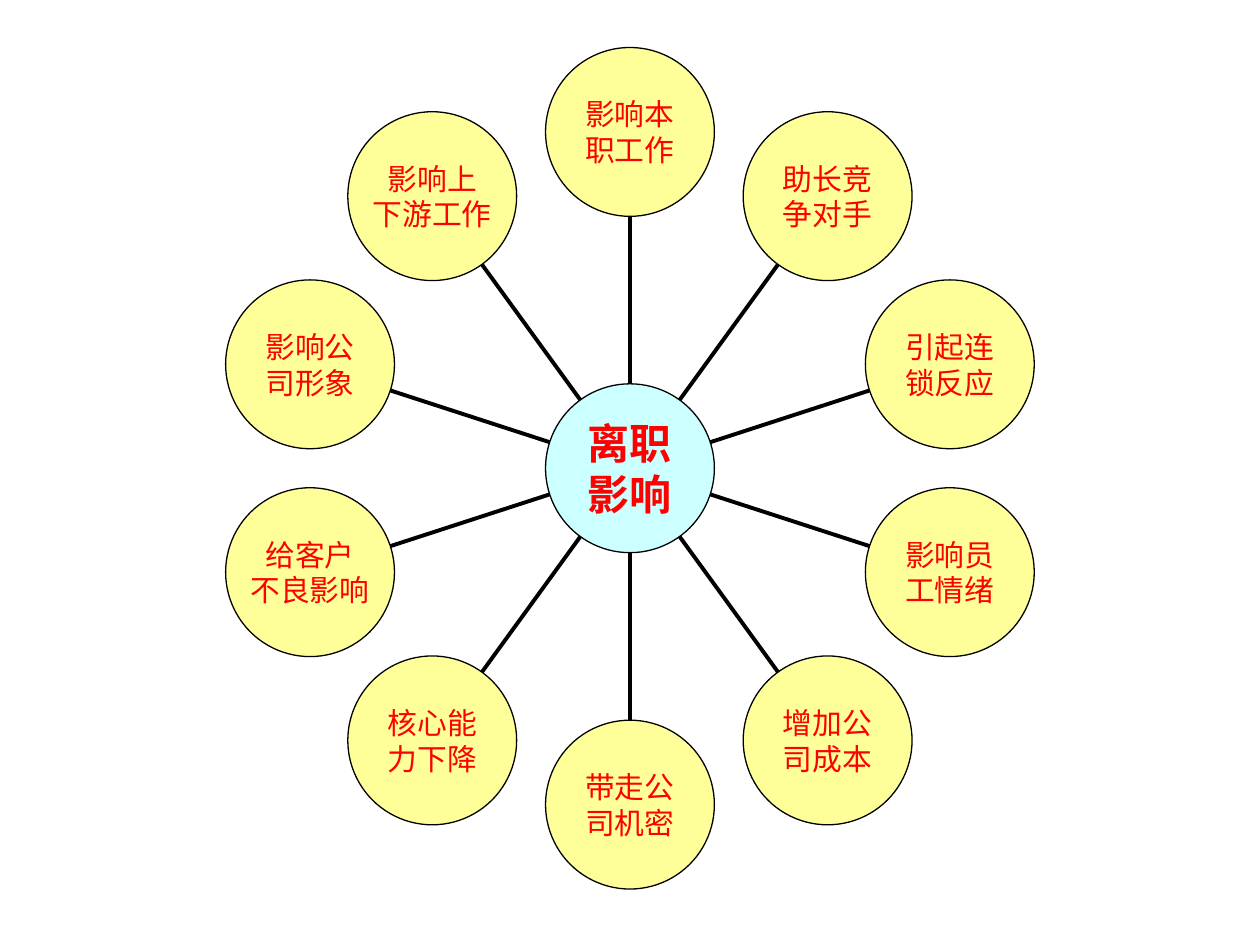
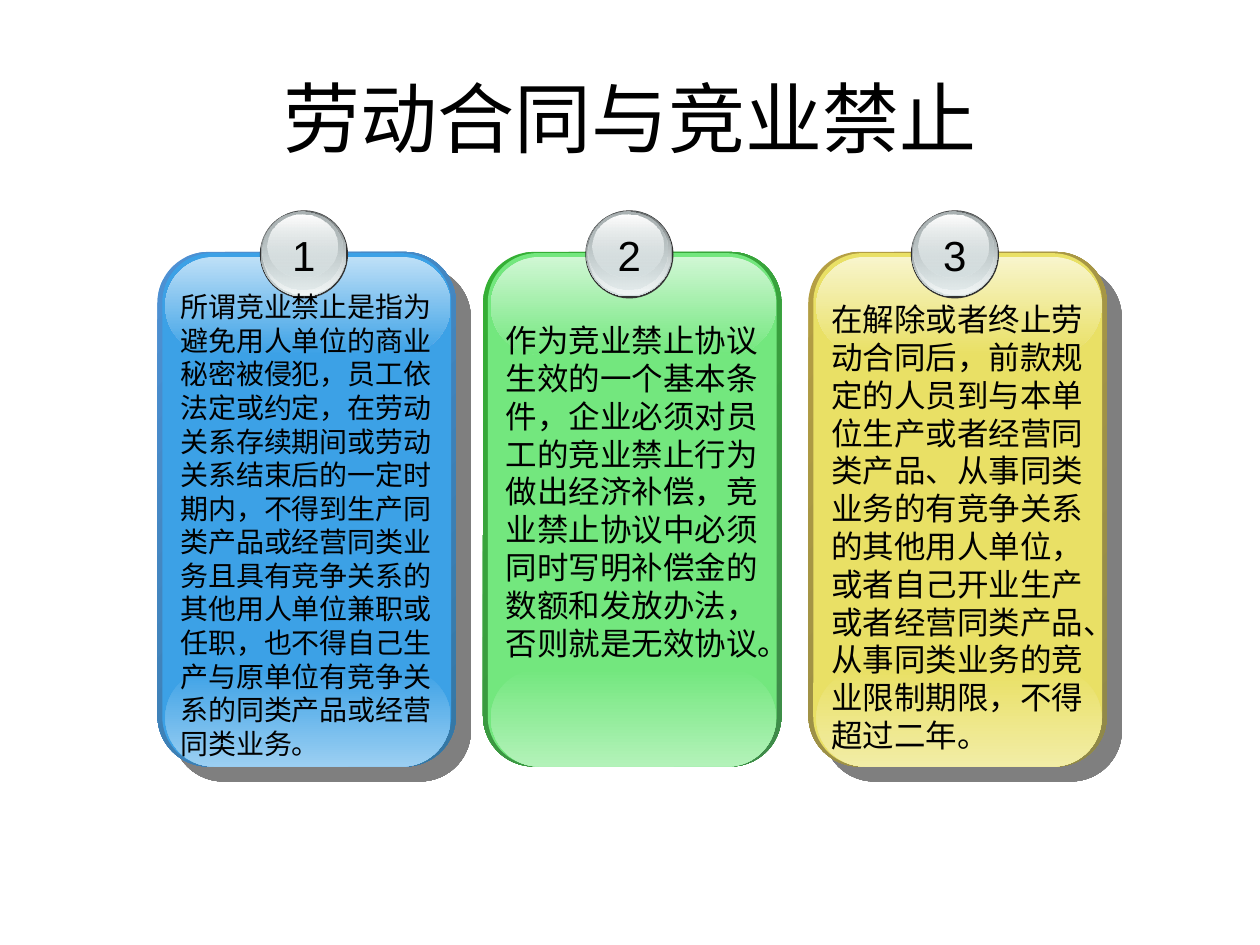
from math import cos, radians, sin

from lxml.etree import SubElement
from pptx import Presentation
from pptx.dml.color import RGBColor
from pptx.enum.shapes import MSO_CONNECTOR as Connector, MSO_SHAPE as Shape
from pptx.enum.text import MSO_ANCHOR as Anchor, MSO_AUTO_SIZE as AutoSize, PP_ALIGN as Align
from pptx.oxml import parse_xml
from pptx.oxml.ns import nsdecls, qn
from pptx.util import Pt

FONT = "Arial"
COLORS = {
    "text": "000000", "line": "000000", "alert": "FF0000",
    "effect": "FFFF99", "hub": "CCFFFF", "badge_edge": "333333",
    "steel": "636869", "silver": "AAB2B3", "mist": "D6E1E2",
    "frost": "F1F5F5", "white": "FFFFFF",
}

HUB = ["离职", "影响"]
EFFECTS = [
    ["影响本", "职工作"], ["助长竞", "争对手"], ["引起连", "锁反应"], ["影响员", "工情绪"],
    ["增加公", "司成本"], ["带走公", "司机密"], ["核心能", "力下降"], ["给客户", "不良影响"],
    ["影响公", "司形象"], ["影响上", "下游工作"],
]

TITLE = "劳动合同与竞业禁止"
CARDS = [
    {
        "text": "所谓竞业禁止是指为避免用人单位的商业秘密被侵犯，员工依法定或约定，在劳动关系存续期间或劳动关系结束后的一定时期内，不得到生产同类产品或经营同类业务且具有竞争关系的其他用人单位兼职或任职，也不得自己生产与原单位有竞争关系的同类产品或经营同类业务。",
        "size": 16, "top": 162, "height": 276, "shadow": True,
        "rim": ("4E91D4", "3477A4"), "face": "3CA1E6", "shine": "BEE0F7", "glow": "9BCFF2",
    },
    {
        "text": "作为竞业禁止协议生效的一个基本条件，企业必须对员工的竞业禁止行为做出经济补偿，竞业禁止协议中必须同时写明补偿金的数额和发放办法，否则就是无效协议。",
        "size": 18, "top": 180, "height": 223, "shadow": False,
        "rim": ("34B034", "3F8B4A"), "face": "73E77E", "shine": "D0F7D4", "glow": "B3F2B9",
    },
    {
        "text": "在解除或者终止劳动合同后，前款规定的人员到与本单位生产或者经营同类产品、从事同类业务的有竞争关系的其他用人单位，或者自己开业生产或者经营同类产品、从事同类业务的竞业限制期限，不得超过二年。",
        "size": 18, "top": 168, "height": 266, "shadow": True,
        "rim": ("B59F43", "8F8849"), "face": "E9E065", "shine": "F8F5CC", "glow": "F2EDA6",
    },
]
BADGE_LAYERS = [
    ((58.5, 120.2, 50.4, 50.4), [("badge_edge", 100)]),
    ((59, 120.4, 49, 49), [("steel", 100), ("mist", 100)]),
    ((59.75, 120.8, 47.5, 47.5), [("mist", 0), ("frost", 100)]),
    ((60.25, 121, 45.4, 44.6), [("silver", 100), ("mist", 48)]),
    ((62.75, 122.4, 40.3, 36), [("white", 100), ("mist", 38)]),
]

HUB_X, HUB_Y = 360, 267.6
RING_RADIUS = 192.2
CIRCLE_SIZE = 96.5
CARD_LEFT, CARD_PITCH = 90, 186


def write_text(shape, lines, size, color=COLORS["text"], bold=False, align=Align.CENTER,
               anchor=Anchor.MIDDLE, wrap=True, margins=(7.2, 3.6), grow=False):
    frame = shape.text_frame
    frame.word_wrap = wrap
    frame.vertical_anchor = anchor
    frame.auto_size = AutoSize.SHAPE_TO_FIT_TEXT if grow else AutoSize.NONE
    frame.margin_left = frame.margin_right = Pt(margins[0])
    frame.margin_top = frame.margin_bottom = Pt(margins[1])
    for index, line in enumerate(lines):
        paragraph = frame.paragraphs[0] if index == 0 else frame.add_paragraph()
        paragraph.alignment = align
        run = paragraph.add_run()
        run.text = line
        run.font.name = FONT
        run.font.size = Pt(size)
        run.font.bold = bold
        run.font.color.rgb = RGBColor.from_string(color)


def add_shape(slide, kind, box, fill=None, line=None, corner=None):
    shape = slide.shapes.add_shape(kind, *map(Pt, box))
    shape.shadow.inherit = False
    if corner is not None:
        shape.adjustments[0] = corner
    if fill:
        shape.fill.solid()
        shape.fill.fore_color.rgb = RGBColor.from_string(fill)
    if line:
        shape.line.color.rgb = RGBColor.from_string(line)
        shape.line.width = Pt(0.75)
    else:
        shape.line.fill.background()
    return shape


def fill_gradient(shape, stops, angle=90):
    marks = "".join(
        f'<a:gs pos="{position}"><a:srgbClr val="{color}"><a:alpha val="{alpha * 1000}"/></a:srgbClr></a:gs>'
        for position, (color, alpha) in zip((0, 100000), stops)
    )
    gradient = parse_xml(
        f'<a:gradFill {nsdecls("a")} rotWithShape="1"><a:gsLst>{marks}</a:gsLst>'
        f'<a:lin ang="{angle * 60000}" scaled="1"/></a:gradFill>'
    )
    shape._element.spPr.find(qn("a:prstGeom")).addnext(gradient)


def cast_shadow(shape):
    effects = shape._element.spPr.find(qn("a:effectLst"))
    effects.append(parse_xml(
        f'<a:outerShdw {nsdecls("a")} blurRad="0" dist="{Pt(12.1)}" dir="2700000" algn="ctr" rotWithShape="0">'
        f'<a:srgbClr val="{COLORS["line"]}"><a:alpha val="50000"/></a:srgbClr></a:outerShdw>'
    ))


def add_spoke(slide, angle):
    ends = []
    for distance in (CIRCLE_SIZE / 2, RING_RADIUS - CIRCLE_SIZE / 2):
        ends += [Pt(HUB_X + distance * cos(angle)), Pt(HUB_Y + distance * sin(angle))]
    spoke = slide.shapes.add_connector(Connector.STRAIGHT, *ends)
    spoke.line.color.rgb = RGBColor.from_string(COLORS["line"])
    spoke.line.width = Pt(2.25)
    SubElement(spoke._element.spPr, qn("a:effectLst"))


def add_circle(slide, center_x, center_y, lines, fill, size, bold=False):
    box = (center_x - CIRCLE_SIZE / 2, center_y - CIRCLE_SIZE / 2, CIRCLE_SIZE, CIRCLE_SIZE)
    circle = add_shape(slide, Shape.OVAL, box, fill, COLORS["line"])
    write_text(circle, lines, size, COLORS["alert"], bold, wrap=False, margins=(0, 0))


def build_effects_slide(presentation):
    slide = presentation.slides.add_slide(presentation.slide_layouts[6])
    for index, lines in enumerate(EFFECTS):
        angle = radians(index * 360 / len(EFFECTS) - 90)
        add_spoke(slide, angle)
        add_circle(slide, HUB_X + RING_RADIUS * cos(angle), HUB_Y + RING_RADIUS * sin(angle),
                   lines, COLORS["effect"], 17)
    add_circle(slide, HUB_X, HUB_Y, HUB, COLORS["hub"], 24, bold=True)


def add_card(slide, number, card):
    left = CARD_LEFT + (number - 1) * CARD_PITCH
    face = card["face"]
    rim = add_shape(slide, Shape.ROUNDED_RECTANGLE, (left, 144, 170.5, 294), corner=0.17)
    fill_gradient(rim, [(color, 100) for color in card["rim"]], angle=45)
    if card["shadow"]:
        cast_shadow(rim)
    add_shape(slide, Shape.ROUNDED_RECTANGLE, (left + 2.75, 144.7, 165, 293), face, corner=0.17)
    for top, colors in ((382.2, (face, card["glow"])), (146.8, (card["shine"], face))):
        band = add_shape(slide, Shape.ROUNDED_RECTANGLE, (left + 4.5, top, 163, 55.8), corner=0.5)
        fill_gradient(band, [(color, 100) for color in colors])
    for (offset, top, width, height), stops in BADGE_LAYERS:
        layer = add_shape(slide, Shape.OVAL, (left + offset, top, width, height),
                          COLORS[stops[0][0]] if len(stops) == 1 else None)
        if len(stops) > 1:
            fill_gradient(layer, [(COLORS[name], alpha) for name, alpha in stops])
    label = slide.shapes.add_textbox(Pt(left + 69.8), Pt(127.4), Pt(27.4), Pt(36))
    write_text(label, [str(number)], 24, anchor=Anchor.TOP, wrap=False, grow=True)
    body = slide.shapes.add_textbox(Pt(left + 6), Pt(card["top"]), Pt(162), Pt(card["height"]))
    write_text(body, [card["text"]], card["size"], align=Align.LEFT, anchor=Anchor.TOP, grow=True)


def build_contract_slide(presentation):
    slide = presentation.slides.add_slide(presentation.slide_layouts[5])
    title = slide.shapes.title
    title.left, title.top, title.width, title.height = map(Pt, (36, 21.6, 648, 90))
    write_text(title, [TITLE], 44)
    for number, card in enumerate(CARDS, 1):
        add_card(slide, number, card)


def main():
    presentation = Presentation()
    presentation.slide_width, presentation.slide_height = Pt(720), Pt(540)
    build_effects_slide(presentation)
    build_contract_slide(presentation)
    presentation.save("out.pptx")


if __name__ == "__main__":
    main()
